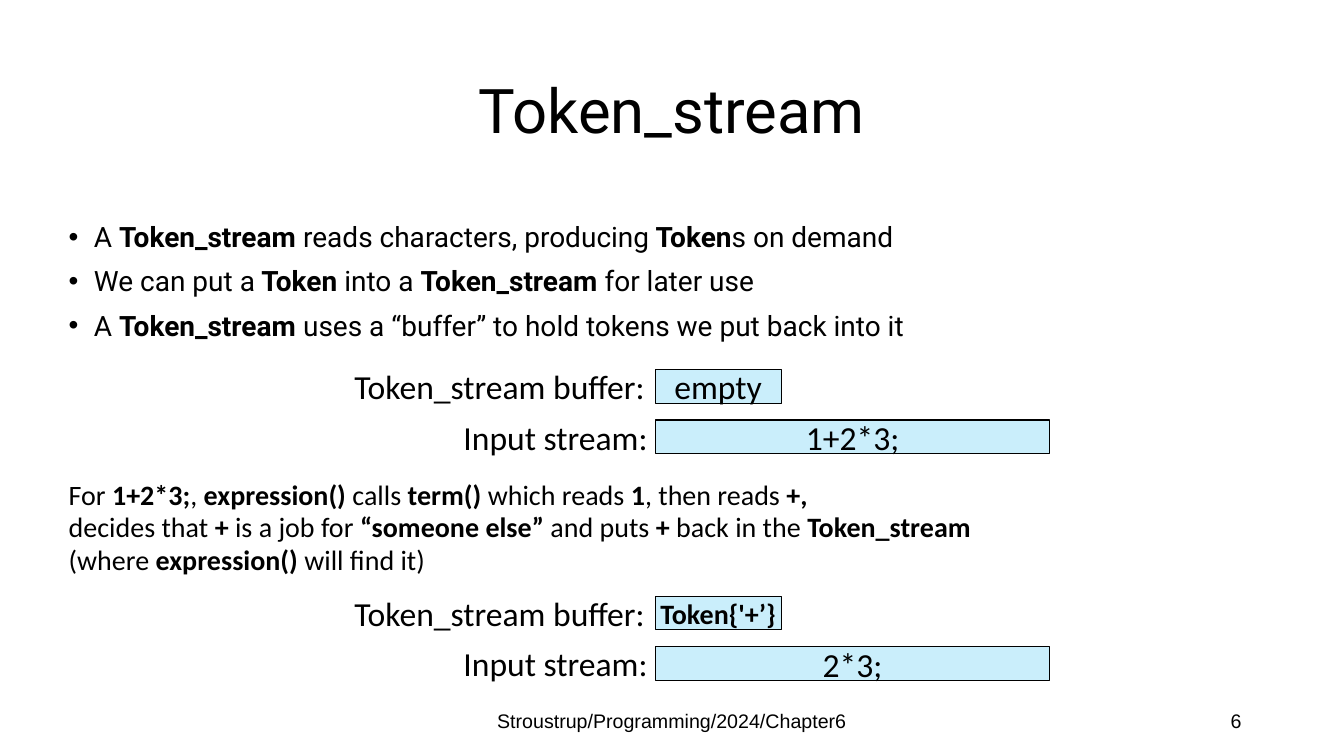
from pptx import Presentation
from pptx.dml.color import RGBColor
from pptx.enum.shapes import MSO_SHAPE
from pptx.enum.text import MSO_ANCHOR, MSO_AUTO_SIZE, PP_ALIGN
from pptx.oxml.ns import qn
from pptx.util import Pt
from lxml import etree

THEME = {
    "ink": RGBColor(0x00, 0x00, 0x00),
    "box_fill": RGBColor(0xCA, 0xEE, 0xFB),
    "heading": {"name": "Roboto", "size": Pt(44)},
    "bullets": {"name": "Roboto", "size": Pt(20)},
    "footer": {"name": "Arial", "size": Pt(14)},
    "diagram": {"name": "Calibri", "size": Pt(24)},
    "body": {"name": "Calibri", "size": Pt(20)},
}


def write(holder, lines, style, frame_format, paragraph_format, hanging=0, bullet=None):
    """Fill a shape with text; parts between bars are bold."""
    frame = holder.text_frame
    for key, value in frame_format.items():
        setattr(frame, key, value)
    for number, line in enumerate(lines):
        paragraph = frame.add_paragraph() if number else frame.paragraphs[0]
        for key, value in paragraph_format.items():
            setattr(paragraph, key, value)
        if hanging:
            properties = paragraph._p.get_or_add_pPr()
            properties.set("marL", str(Pt(hanging)))
            properties.set("indent", str(-Pt(hanging)))
            if bullet:
                etree.SubElement(properties, qn("a:buFont")).set("typeface", "Arial")
                etree.SubElement(properties, qn("a:buChar")).set("char", bullet)
        for position, part in enumerate(line.split("|")):
            if part:
                run = paragraph.add_run()
                run.text = part
                for key, value in {**THEME[style], "bold": position % 2 == 1}.items():
                    setattr(run.font, key, value)
                run.font.color.rgb = THEME["ink"]


def text_area(left, top, width, height):
    return slide.shapes.add_textbox(Pt(left), Pt(top), Pt(width), Pt(height))


deck = Presentation()
deck.slide_width, deck.slide_height = Pt(960), Pt(540)
slide = deck.slides.add_slide(deck.slide_layouts[6])

top_text = {"word_wrap": True}
middle_text = {"word_wrap": True, "vertical_anchor": MSO_ANCHOR.MIDDLE}
label_text = {"word_wrap": False, "auto_size": MSO_AUTO_SIZE.SHAPE_TO_FIT_TEXT}
box_text = {"word_wrap": False, "vertical_anchor": MSO_ANCHOR.MIDDLE}
centred = {"alignment": PP_ALIGN.CENTER}

# Title
write(text_area(66, 28.8, 828, 104.4), ["Token_stream"], "heading",
      middle_text, {**centred, "line_spacing": 0.9})

# Bullet points
write(text_area(42, 156, 798, 84), [
    "A |Token_stream |reads characters, producing| Token|s on demand",
    "We can put a| Token| into a |Token_stream| for later use",
    "A |Token_stream |uses a “buffer” to hold tokens we put back into it",
], "bullets", top_text, {"line_spacing": 0.9, "space_before": Pt(10)},
    hanging=18, bullet="•")

# Explanation between the two states
write(text_area(42, 342, 798, 60), [
    "For |1+2*3;|,| expression()| calls |term() |which reads |1|, then reads |+,|",
    "decides that |+| is a job for |“someone else”| and puts |+| back in the |Token_stream|",
    "(where |expression() |will find it)",
], "body", top_text, {"line_spacing": 0.8, "space_before": Pt(4)}, hanging=27)

# Buffer and input stream, before and after the token is put back
states = [
    (258, ("empty", "diagram"), ("1+2*3;", "diagram")),
    (420, ("|Token{'+’}|", "body"), ("2*3;", "diagram")),
]
rows = [
    ("Token_stream buffer:", 246, 223, 90),
    ("Input stream:", 324, 147, 282),
]
for state_top, *contents in states:
    for row, ((label, left, width, box_width), (content, style)) in enumerate(zip(rows, contents)):
        top = state_top + 36 * row
        write(text_area(left, top, width, 36), [label], "diagram", label_text, {})
        box = slide.shapes.add_shape(MSO_SHAPE.RECTANGLE, Pt(468), Pt(top + 6),
                                     Pt(box_width), Pt(24))
        box.shadow.inherit = False
        box.fill.solid()
        box.fill.fore_color.rgb = THEME["box_fill"]
        box.line.color.rgb = THEME["ink"]
        box.line.width = Pt(0.75)
        write(box, [content], style, box_text, centred)

# Footer and slide number
write(text_area(318, 500.4, 324, 28.8), ["Stroustrup/Programming/2024/Chapter6"],
      "footer", middle_text, centred)
write(text_area(678, 500.4, 216, 28.8), ["6"], "footer", middle_text,
      {"alignment": PP_ALIGN.RIGHT})

deck.save("out.pptx")
